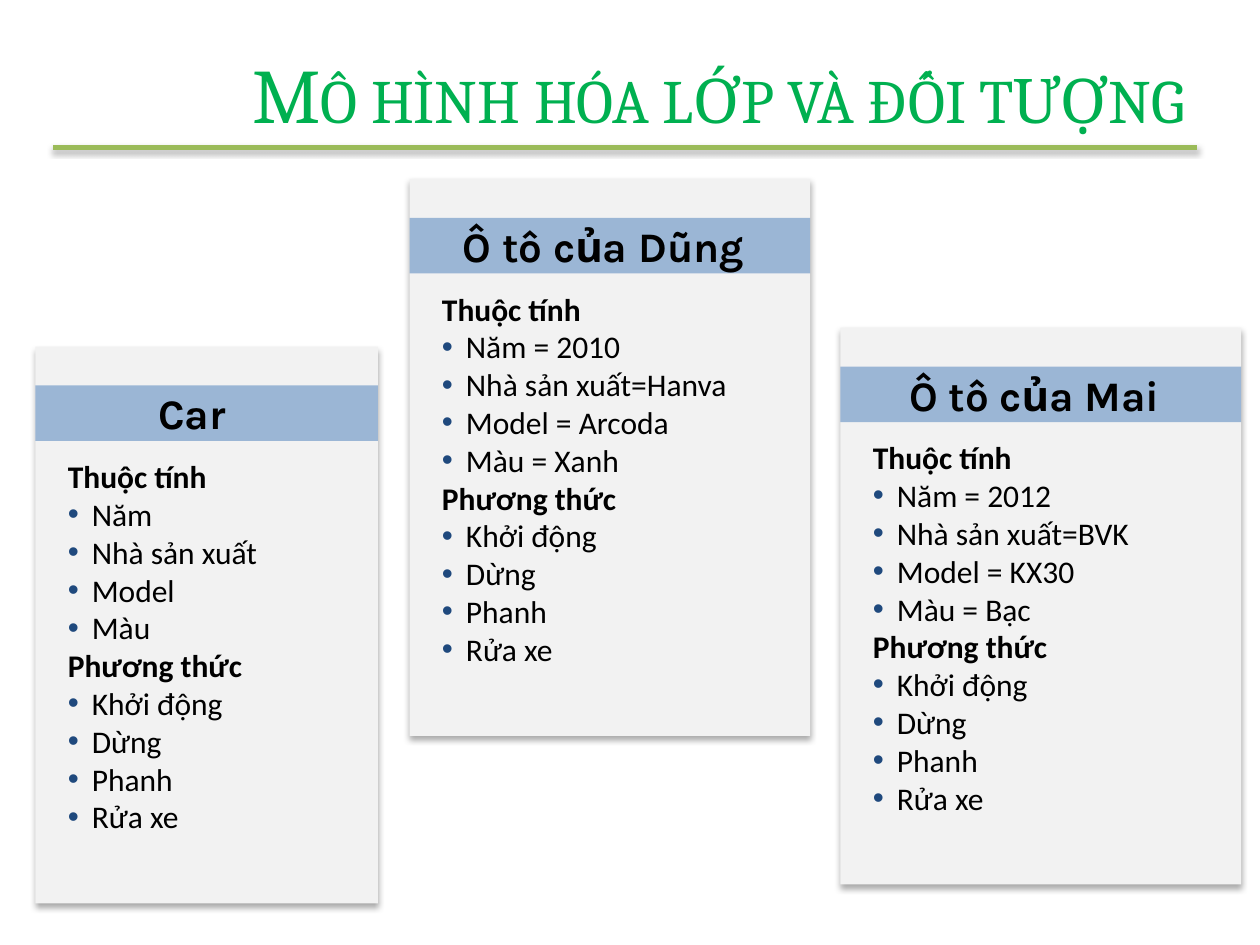
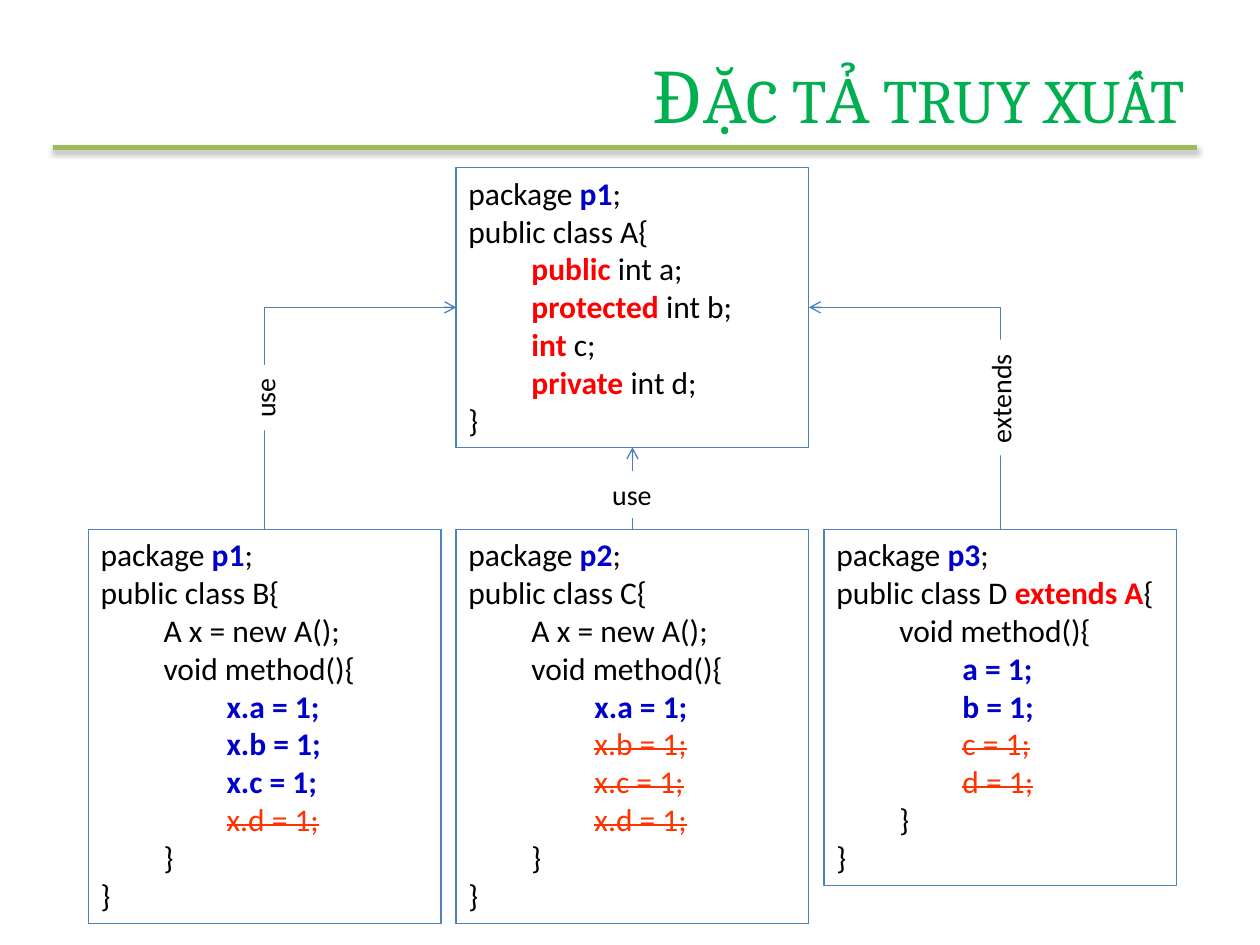
from dataclasses import dataclass

from lxml import etree
from pptx import Presentation
from pptx import util as u
from pptx.dml.color import RGBColor
from pptx.enum import shapes, text
from pptx.oxml.ns import qn

Inches = u.Inches


@dataclass(frozen=True)
class Theme:
    title_font: str = "Cambria"
    card_font: str = "Karla"
    body_font: str = "Calibri"
    title_size: int = 44
    card_size: int = 24
    body_size: int = 18
    label_size: int = 16
    title: str = "00B050"
    rule: str = "9BBB59"
    card: str = "F2F2F2"
    accent: str = "4F81BD"
    arrow: str = "4B7EBC"
    bullet: str = "1F497D"
    black: str = "000000"
    white: str = "FFFFFF"
    blue: str = "0000CC"
    red: str = "FF0000"
    orange: str = "FF3300"


theme = Theme()
rgb = RGBColor.from_string
PLAIN = dict(color=theme.black)
BOLD = dict(color=theme.black, bold=True)
NAME = dict(color=theme.blue, bold=True)
KEYWORD = dict(color=theme.red, bold=True)
DENIED = dict(color=theme.orange, strike=True)


def write(box, lines, font=theme.body_font, size=theme.body_size, align=text.PP_ALIGN.LEFT,
          wrap=True, fit=text.MSO_AUTO_SIZE.SHAPE_TO_FIT_TEXT, bulleted=False):
    """Fill box with lines of (indent in inches, (words, style), ...)."""
    frame = box.text_frame
    frame.word_wrap, frame.auto_size = wrap, fit
    frame.vertical_anchor = text.MSO_ANCHOR.TOP
    for number, (indent, *spans) in enumerate(lines):
        para = frame.add_paragraph() if number else frame.paragraphs[0]
        para.alignment = align
        properties = para._p.get_or_add_pPr()
        properties.set("marL", str(Inches(indent)))
        if bulleted and indent:
            properties.set("indent", str(-Inches(indent)))
            color = etree.SubElement(properties, qn("a:buClr"))
            etree.SubElement(color, qn("a:srgbClr"), val=theme.bullet)
            etree.SubElement(properties, qn("a:buFont"), typeface="Arial")
            etree.SubElement(properties, qn("a:buChar"), char="•")
        for words, style in spans:
            span = para.add_run()
            span.text = words
            span.font.name, span.font.size = font, u.Pt(size)
            span.font.bold = style.get("bold", False)
            span.font.color.rgb = rgb(style["color"])
            if style.get("strike"):
                span._r.get_or_add_rPr().set("strike", "sngStrike")


def set_shadow(shape, blur=0, distance=0, opacity=0):
    """Replace the theme's shadow by a downward one, or by none."""
    effects = etree.SubElement(shape._element.spPr, qn("a:effectLst"))
    if blur:
        shadow = etree.SubElement(effects, qn("a:outerShdw"), blurRad=str(u.Pt(blur)),
                                  dist=str(u.Pt(distance)), dir="5400000", rotWithShape="0")
        color = etree.SubElement(shadow, qn("a:srgbClr"), val=theme.black)
        etree.SubElement(color, qn("a:alpha"), val=str(opacity * 1000))


deck = Presentation()
deck.slide_width, deck.slide_height = Inches(10), Inches(7.5)
master = deck.slide_master
layout = deck.slide_layouts[5]

# Shared title style and rule
master_title = next(p for p in master.placeholders
                    if p.placeholder_format.type == shapes.PP_PLACEHOLDER.TITLE)
master_title.left, master_title.top = Inches(1.45), Inches(0.3)
master_title.width, master_title.height = Inches(8.05), Inches(0.87)
master_title.text_frame.auto_size = text.MSO_AUTO_SIZE.NONE
title_level = master._element.find(".//" + qn("p:titleStyle")).find(qn("a:lvl1pPr"))
title_level.set("algn", "r")
title_font = title_level.find(qn("a:defRPr"))
title_font.set("sz", str(theme.title_size * 100))
title_font.set("cap", "small")
title_font.find(qn("a:latin")).set("typeface", theme.title_font)
title_fill = title_font.find(qn("a:solidFill"))
title_fill.clear()
etree.SubElement(title_fill, qn("a:srgbClr"), val=theme.title)

pages = []
for title in ("Mô hình hóa lớp và đối tượng", "Đặc tả truy xuất"):
    page = deck.slides.add_slide(layout)
    page.shapes.title.text = title
    pages.append(page)
model_page, access_page = pages

rule = model_page.shapes.add_connector(shapes.MSO_CONNECTOR.STRAIGHT, Inches(0.42), Inches(1.17),
                                       Inches(9.5), Inches(1.17))
rule.line.color.rgb = rgb(theme.rule)
rule.line.width = u.Pt(3)
set_shadow(rule, blur=3.1, distance=1.8, opacity=35)
master.shapes._spTree.append(rule._element)

# Slide 1: a class and two of its objects
METHODS = ["Khởi động", "Dừng", "Phanh", "Rửa xe"]
cards = [
    ("Car", 0.28, 2.75, 2.72, 2.17, 2.5, ["Năm", "Nhà sản xuất", "Model", "Màu"]),
    ("Ô tô của Dũng", 3.25, 1.42, 3.18, 2.76, 2.76,
     ["Năm = 2010", "Nhà sản xuất=Hanva", "Model = Arcoda", "Màu = Xanh"]),
    ("Ô tô của Mai", 6.67, 2.6, 3.18, 2.76, 2.76,
     ["Năm = 2012", "Nhà sản xuất=BVK", "Model = KX30", "Màu = Bạc"]),
]
for name, left, top, width, name_width, list_width, attributes in cards:
    group = model_page.shapes.add_group_shape()
    panel, band = [
        group.shapes.add_shape(shapes.MSO_SHAPE.RECTANGLE, Inches(left), Inches(top + offset),
                               Inches(width), Inches(height))
        for offset, height in ((0, 4.42), (0.31, 0.44))]
    for part, color in ((panel, theme.card), (band, theme.accent)):
        part.fill.solid()
        part.fill.fore_color.rgb = rgb(color)
        part.line.fill.background()
    set_shadow(panel, blur=3.5, distance=2.2, opacity=32)
    set_shadow(band)
    band_color = band._element.spPr.find(qn("a:solidFill"))[0]
    etree.SubElement(band_color, qn("a:alpha"), val="53000")

    members = model_page.shapes.add_textbox(Inches(left + 0.16), Inches(top + 0.83),
                                            Inches(list_width), Inches(3.43))
    lines = []
    for heading, items in (("Thuộc tính", attributes), ("Phương thức", METHODS)):
        lines.append((0, (heading, BOLD)))
        lines += [(0.19, (item, PLAIN)) for item in items]
    write(members, lines, bulleted=True)
    heading_box = model_page.shapes.add_textbox(Inches(left + 0.16), Inches(top + 0.28),
                                                Inches(name_width), Inches(0.52))
    write(heading_box, [(0, (name, BOLD))], font=theme.card_font, size=theme.card_size,
          align=text.PP_ALIGN.CENTER, fit=text.MSO_AUTO_SIZE.NONE)

# Slide 2: four classes and what each may access
COLUMN_LEFT = [0.7 + 2.92 * column for column in range(3)]
USER_BODY = [(0.5, ("A x = new A();", PLAIN)), (0.5, ("void method(){", PLAIN))]
CLOSING = [(0.5, ("}", PLAIN)), (0, ("}", PLAIN))]
classes = [
    ("A", "p1", 1, 1.33, 2.22, [("{", PLAIN)],
     [(0.5, (access + " ", KEYWORD), (field, PLAIN)) for access, field in (
         ("public", "int a;"), ("protected", "int b;"), ("int", "c;"), ("private", "int d;"))]
     + CLOSING[1:]),
    ("B", "p1", 0, 4.2, 3.13, [("{", PLAIN)],
     USER_BODY + [(1, (f"x.{field} = 1;", NAME if field in "abc" else DENIED))
                  for field in "abcd"] + CLOSING),
    ("C", "p2", 1, 4.2, 3.13, [("{", PLAIN)],
     USER_BODY + [(1, (f"x.{field} = 1;", NAME if field == "a" else DENIED))
                  for field in "abcd"] + CLOSING),
    ("D", "p3", 2, 4.2, 2.83, [(" ", PLAIN), ("extends A", KEYWORD), ("{", PLAIN)],
     USER_BODY[1:] + [(1, (f"{field} = 1;", NAME if field in "ab" else DENIED))
                      for field in "abcd"] + CLOSING),
]
boxes = {}
for name, package_name, column, top, height, ending, body in classes:
    box = access_page.shapes.add_shape(shapes.MSO_SHAPE.RECTANGLE, Inches(COLUMN_LEFT[column]),
                                       Inches(top), Inches(2.8), Inches(height))
    box.fill.background()
    box.line.color.rgb = rgb(theme.accent)
    box.line.width = u.Pt(0.75)
    set_shadow(box)
    header = [(0, ("package ", PLAIN), (package_name, NAME), (";", PLAIN)),
              (0, ("public class " + name, PLAIN), *ending)]
    write(box, header + body)
    boxes[name] = box

# Arrows to class A: source, side of A, rotation in degrees, horizontal flip
for source, side, rotation, flip in (("B", 1, 90, "1"), ("C", 2, None, None), ("D", 3, 270, "0")):
    bent = rotation is not None
    kind = shapes.MSO_CONNECTOR.ELBOW if bent else shapes.MSO_CONNECTOR.STRAIGHT
    arrow = access_page.shapes.add_connector(kind, 0, 0, 0, 0)
    arrow.begin_connect(boxes[source], 0)
    arrow.end_connect(boxes["A"], side)
    arrow.line.color.rgb = rgb(theme.arrow)
    arrow.line.width = u.Pt(0.75)
    etree.SubElement(arrow.line._get_or_add_ln(), qn("a:tailEnd"), type="arrow")
    set_shadow(arrow)
    if bent:
        across, rise = arrow.width, arrow.height
        arrow.left += (across - rise) // 2
        arrow.top += (rise - across) // 2
        arrow.width, arrow.height = rise, across
        properties = arrow._element.spPr
        properties.find(qn("a:prstGeom")).set("prst", "bentConnector2")
        frame = properties.find(qn("a:xfrm"))
        frame.set("rot", str(rotation * 60000))
        frame.set("flipH", flip)
        frame.set("flipV", "1")

for words, left, top, width, rotation in (("use", 1.84, 2.97, 0.52, 270),
                                          ("use", 4.76, 3.74, 0.52, 0),
                                          ("extends", 7.48, 2.97, 0.92, 270)):
    label = access_page.shapes.add_shape(shapes.MSO_SHAPE.RECTANGLE, Inches(left), Inches(top),
                                         Inches(width), Inches(0.37))
    label.rotation = rotation
    label.fill.solid()
    label.fill.fore_color.rgb = rgb(theme.white)
    label.line.fill.background()
    set_shadow(label)
    write(label, [(0, (words, PLAIN))], size=theme.label_size, wrap=False)

deck.save("out.pptx")
